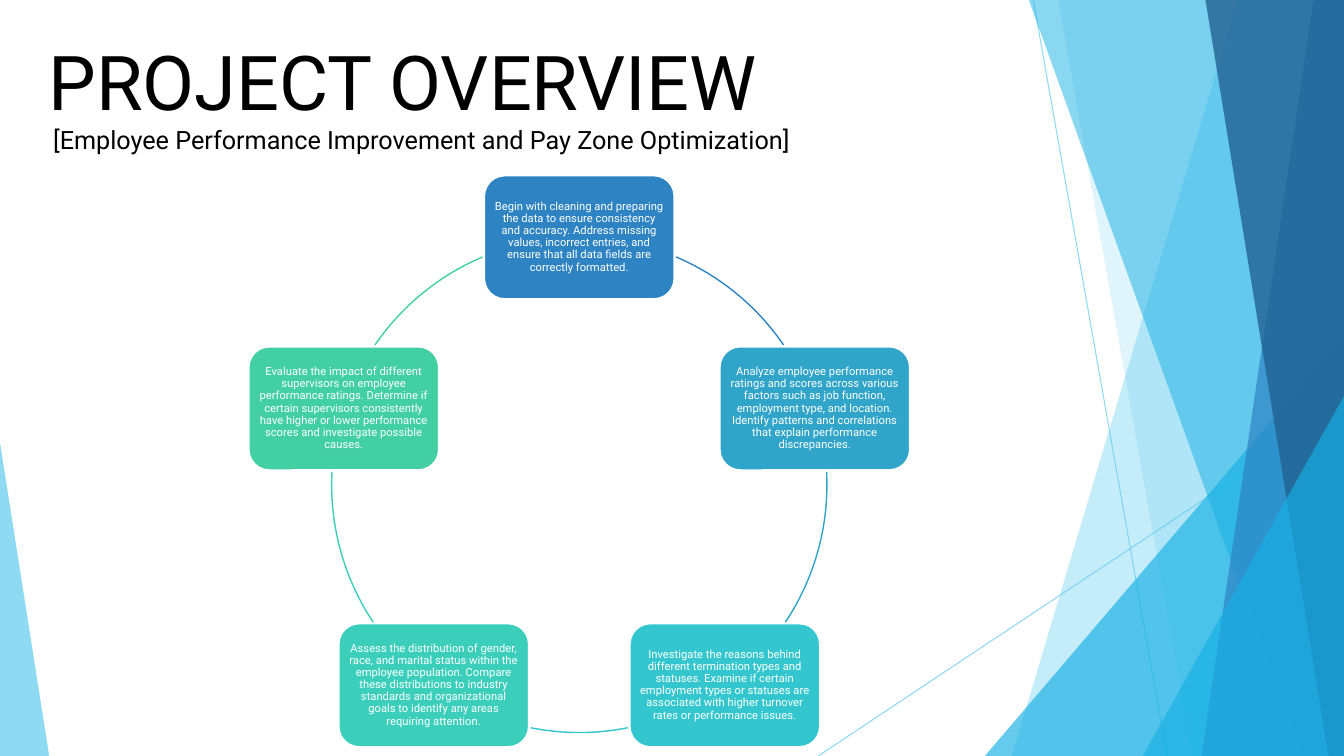
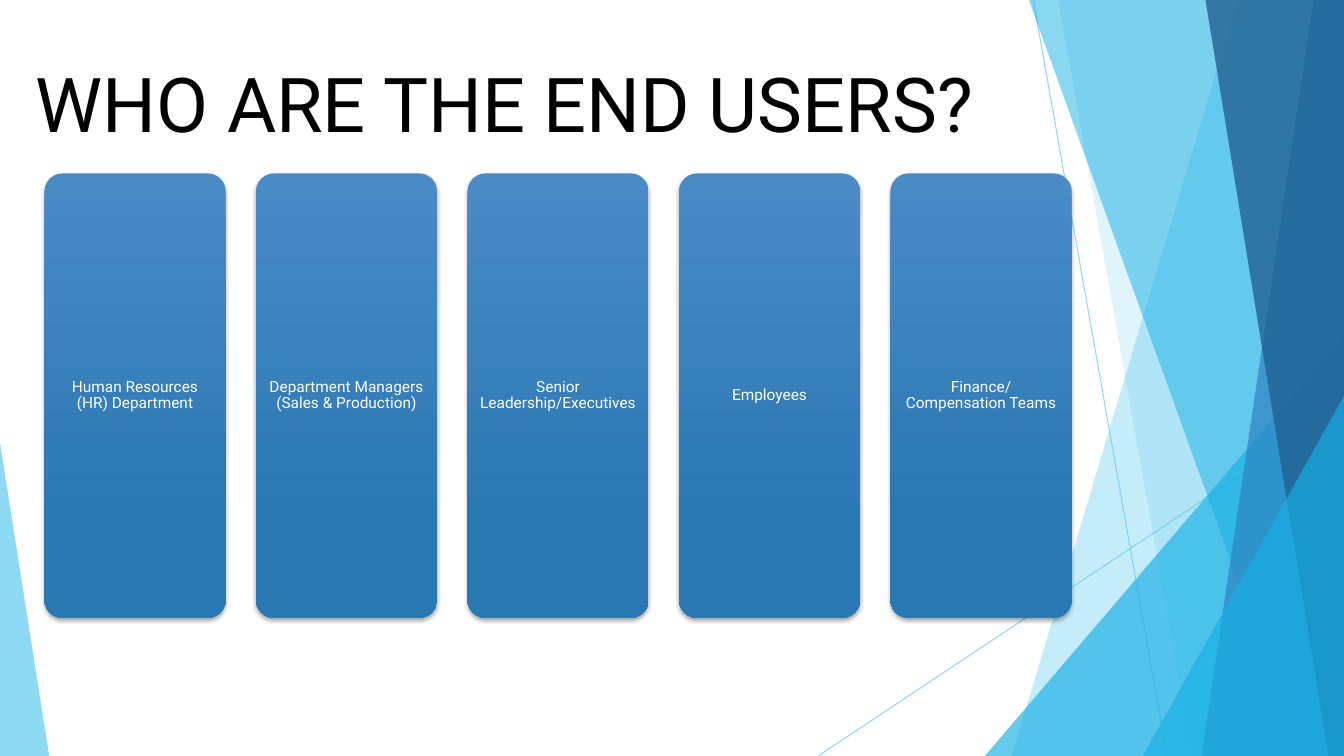
from dataclasses import dataclass
from math import cos, radians, sin

from lxml import etree
from pptx import Presentation
from pptx.dml.color import RGBColor
from pptx.enum.shapes import MSO_CONNECTOR, MSO_SHAPE
from pptx.enum.text import MSO_ANCHOR, MSO_AUTO_SIZE, PP_ALIGN
from pptx.oxml.ns import qn
from pptx.util import Cm, Pt

ARC, ROUNDED = MSO_SHAPE.ARC, MSO_SHAPE.ROUNDED_RECTANGLE
TRIANGLE = MSO_SHAPE.ISOSCELES_TRIANGLE
STRAIGHT = MSO_CONNECTOR.STRAIGHT
TOP, MIDDLE = MSO_ANCHOR.TOP, MSO_ANCHOR.MIDDLE
LEFT, CENTER = PP_ALIGN.LEFT, PP_ALIGN.CENTER
NO_FIT = MSO_AUTO_SIZE.NONE


@dataclass(frozen=True)
class Theme:
    font: str = "Roboto"
    title_size: int = 54
    subtitle_size: int = 18
    panel_size: int = 11
    step_size: int = 8
    text: str = "000000"
    white: str = "FFFFFF"
    sky: str = "5FCBEF"
    cyan: str = "17B0E4"
    blue: str = "2E83C3"
    navy: str = "226292"
    panel_top: str = "4A8BC6"
    panel_bottom: str = "2A78B2"
    steps: tuple = ("2E83C3", "30A4C9", "34C6CE", "3BCFBB", "42D0A2")


THEME = Theme()
SLIDE_W, SLIDE_H = 33.87, 19.05

STEPS = (
    "Begin with cleaning and preparing the data to ensure consistency and accuracy. "
    "Address missing values, incorrect entries, and ensure that all data fields are "
    "correctly formatted.",
    "Analyze employee performance ratings and scores across various factors such as "
    "job function, employment type, and location. Identify patterns and correlations "
    "that explain performance discrepancies.",
    "Investigate the reasons behind different termination types and statuses. Examine "
    "if certain employment types or statuses are associated with higher turnover rates "
    "or performance issues.",
    "Assess the distribution of gender, race, and marital status within the employee "
    "population. Compare these distributions to industry standards and organizational "
    "goals to identify any areas requiring attention.",
    "Evaluate the impact of different supervisors on employee performance ratings. "
    "Determine if certain supervisors consistently have higher or lower performance "
    "scores and investigate possible causes.",
)
# Start and end of each arc, in degrees clockwise from the right
ARCS = ((293, 325.6), (357, 33.7), (78.7, 101.3), (146.3, 183), (214.4, 247))

END_USERS = (
    "Human Resources (HR) Department",
    "Department Managers (Sales & Production)",
    "Senior Leadership/Executives",
    "Employees",
    "Finance/Compensation Teams",
)


def rgb(color):
    return RGBColor.from_string(color)


def set_alpha(sp, percent):
    for color in sp.element.iter(qn("a:srgbClr")):
        etree.SubElement(color, qn("a:alpha")).set("val", str(percent * 1000))


def set_text(sp, text, size, color, align=LEFT, anchor=TOP, inset=None, spacing=None):
    tf = sp.text_frame
    tf.text = text
    tf.word_wrap = True
    tf.auto_size = NO_FIT
    tf.vertical_anchor = anchor
    if inset is not None:
        tf.margin_left = tf.margin_right = tf.margin_top = tf.margin_bottom = Cm(inset)
    p = tf.paragraphs[0]
    p.alignment = align
    p.line_spacing = spacing
    font = p.runs[0].font
    font.name, font.size, font.color.rgb = THEME.font, Pt(size), rgb(color)


def add_shape(slide, kind, left, top, width, height):
    sp = slide.shapes.add_shape(kind, Cm(left), Cm(top), Cm(width), Cm(height))
    sp.shadow.inherit = False
    return sp


def tint(sp, color, alpha):
    sp.fill.solid()
    sp.fill.fore_color.rgb = rgb(color)
    sp.line.fill.background()
    set_alpha(sp, alpha)


def add_band(slide, top_x, bottom_x, color, alpha):
    """Fill from a slanted left edge to the right edge of the slide."""
    builder = slide.shapes.build_freeform(Cm(top_x), Cm(0))
    builder.add_line_segments([(Cm(x), Cm(y)) for x, y in (
        (SLIDE_W, 0), (SLIDE_W, SLIDE_H), (bottom_x, SLIDE_H))])
    sp = builder.convert_to_shape()
    sp.shadow.inherit = False
    tint(sp, color, alpha)


def add_triangle(slide, left, top, width, apex, color, alpha):
    """Stand a triangle on the slide's bottom edge; apex is 0 (left) to 1 (right)."""
    sp = add_shape(slide, TRIANGLE, left, top, width, SLIDE_H - top)
    sp.adjustments[0] = apex
    tint(sp, color, alpha)


def add_hairline(slide, x1, y1, x2, y2):
    line = slide.shapes.add_connector(STRAIGHT, Cm(x1), Cm(y1), Cm(x2), Cm(y2))
    line.line.color.rgb = rgb(THEME.sky)
    line.line.width = Pt(0.75)
    set_alpha(line, 70)
    etree.SubElement(line.element.spPr, qn("a:effectLst"))


def draw_backdrop(slide):
    t = THEME
    add_hairline(slide, 26.04, 0, 29.41, SLIDE_H)
    add_hairline(slide, SLIDE_W, 10.24, 20.62, SLIDE_H)
    add_band(slide, 31.19, 25.5, t.sky, 36)
    add_band(slide, 26.67, 30.05, t.sky, 20)
    add_triangle(slide, 24.82, 8.46, SLIDE_W - 24.82, 1, t.cyan, 66)
    add_band(slide, 25.93, 32.79, t.cyan, 50)
    add_band(slide, 33.1, 30.28, t.blue, 70)
    add_band(slide, 30.38, 33.48, t.navy, 80)
    add_triangle(slide, 28.8, 9.98, SLIDE_W - 28.8, 1, t.cyan, 66)
    add_triangle(slide, 0, 11.15, 1.24, 0, t.sky, 70)


def move_backdrop_to_layout(slide, layout):
    """Put the drawn shapes on the layout, in place of its footer placeholders."""
    for ph in list(layout.placeholders):
        if ph.placeholder_format.idx != 0:
            ph.element.getparent().remove(ph.element)
    for sp in list(slide.shapes):
        if not sp.is_placeholder:
            layout.shapes.element.append(sp.element)


def set_title(slide, text, left, top, width):
    title = slide.shapes.title
    title.left, title.top, title.width, title.height = Cm(left), Cm(top), Cm(width), Cm(2.57)
    set_text(title, text, THEME.title_size, THEME.text)


def add_subtitle(slide, text):
    box = slide.shapes.add_textbox(Cm(1.09), Cm(3.02), Cm(20.09), Cm(1.02))
    set_text(box, text, THEME.subtitle_size, THEME.text)


def add_step(slide, text, center_x, center_y, color):
    width, height = 4.8, 3.12
    sp = add_shape(slide, ROUNDED, center_x - width / 2, center_y - height / 2, width, height)
    sp.fill.solid()
    sp.fill.fore_color.rgb = rgb(color)
    sp.line.color.rgb = rgb(THEME.white)
    sp.line.width = Pt(1.5)
    set_text(sp, text, THEME.step_size, THEME.white, CENTER, MIDDLE, 0.08, 0.9)


def add_arc(slide, center_x, center_y, radius, angles, color):
    sp = add_shape(slide, ARC, center_x - radius, center_y - radius, 2 * radius, 2 * radius)
    for i, angle in enumerate(angles):
        sp.adjustments[i] = angle * 0.6  # 60000 units a degree, scaled by 100000
    sp.fill.background()
    sp.line.color.rgb = rgb(color)
    sp.line.width = Pt(1)


def add_cycle(slide, center_x, center_y, radius):
    for i, (text, angles, color) in enumerate(zip(STEPS, ARCS, THEME.steps)):
        turn = radians(360 / len(STEPS) * i - 90)
        add_step(slide, text, center_x + radius * cos(turn),
                 center_y + radius * sin(turn), color)
        add_arc(slide, center_x, center_y, radius, angles, color)


def add_panel(slide, text, left):
    sp = add_shape(slide, ROUNDED, left, 4.37, 4.57, 11.2)
    sp.adjustments[0] = 0.1
    sp.fill.gradient()
    sp.fill.gradient_angle = 270
    stops = zip(sp.fill.gradient_stops, (0, 0.78), (THEME.panel_top, THEME.panel_bottom))
    for stop, position, color in stops:
        stop.position, stop.color.rgb = position, rgb(color)
    sp.line.fill.background()
    add_soft_shadow(sp)
    set_text(sp, text, THEME.panel_size, THEME.white, CENTER, MIDDLE, 0.13, 0.9)


def add_soft_shadow(sp):
    effects = sp.element.spPr.find(qn("a:effectLst"))
    shadow = etree.SubElement(effects, qn("a:outerShdw"), blurRad=str(Pt(3)),
                              dist=str(Pt(2)), dir="5400000", rotWithShape="0")
    color = etree.SubElement(shadow, qn("a:srgbClr"), val="000000")
    etree.SubElement(color, qn("a:alpha"), val="35000")


def main():
    prs = Presentation()
    prs.slide_width, prs.slide_height = Cm(SLIDE_W), Cm(SLIDE_H)
    layout = prs.slide_layouts[5]

    overview = prs.slides.add_slide(layout)
    draw_backdrop(overview)
    move_backdrop_to_layout(overview, layout)
    set_title(overview, "PROJECT OVERVIEW", 0.97, 0.76, 19.84)
    add_subtitle(overview, "[Employee Performance Improvement and Pay Zone Optimization]")
    add_cycle(overview, 14.6, 12.22, 6.24)

    users = prs.slides.add_slide(layout)
    set_title(users, "WHO ARE THE END USERS?", 0.64, 1.3, 24.64)
    for i, name in enumerate(END_USERS):
        add_panel(users, name, 1.12 + 5.33 * i)

    prs.save("out.pptx")


if __name__ == "__main__":
    main()
